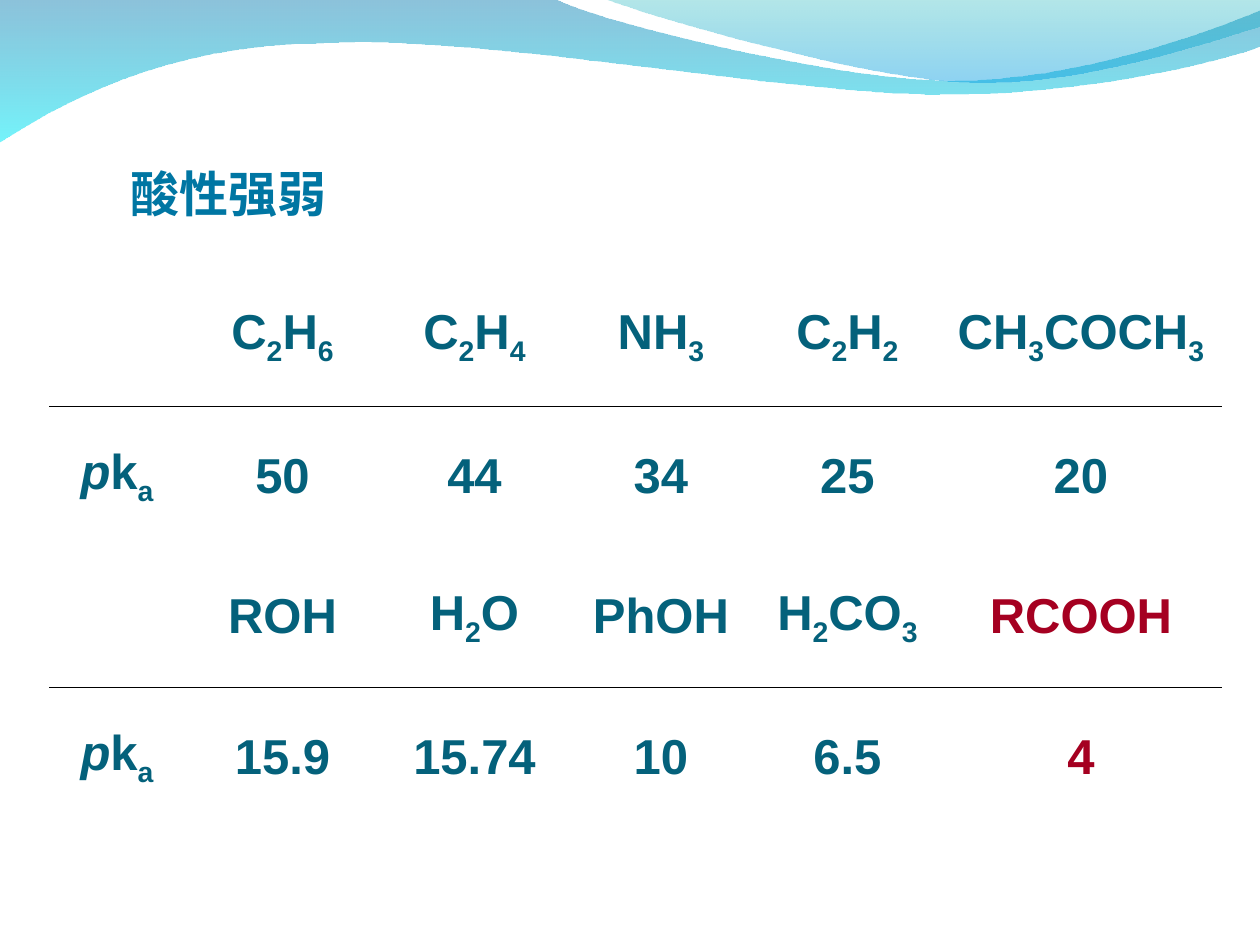
from lxml import etree
from pptx import Presentation
from pptx.dml.color import RGBColor
from pptx.enum.text import MSO_ANCHOR, MSO_AUTO_SIZE, PP_ALIGN
from pptx.oxml.ns import qn
from pptx.util import Pt

PX = 914400 / 126
LEFT, CENTER = PP_ALIGN.LEFT, PP_ALIGN.CENTER
TOP, MIDDLE = MSO_ANCHOR.TOP, MSO_ANCHOR.MIDDLE

TEAL = RGBColor(0x04, 0x61, 0x7B)
RED = RGBColor(0xA5, 0x00, 0x21)
TITLE_BLUE = RGBColor(0x00, 0x76, 0xA3)
DEEP_BLUE = RGBColor(0x00, 0x79, 0xAF)
CYAN = RGBColor(0x00, 0xEB, 0xF8)
SEA_GREEN = RGBColor(0x00, 0xAD, 0xB6)
SKY = RGBColor(0x00, 0x9B, 0xE5)
BLACK = RGBColor(0, 0, 0)

COLUMNS = [134, 197, 187, 186, 187, 280]
ROWS = [140, 141, 140, 141]
# An underscore makes the next character a subscript.
SERIES = [
    (["C_2H_6", "C_2H_4", "NH_3", "C_2H_2", "CH_3COCH_3"],
     ["50", "44", "34", "25", "20"]),
    (["ROH", "H_2O", "PhOH", "H_2CO_3", "RCOOH"],
     ["15.9", "15.74", "10", "6.5", "4"]),
]
ACIDS = ("RCOOH", "4")

# Each wave is a start point, then line ends (x, y) or Bézier segments
# (x1, y1, x2, y2, x, y), relative to the box of the wave.
BACK_WAVE = [
    (1, 0), (555, 0), (601, 23, 838, 81, 956, 81),
    (1076, 81, 1208, 34, 1261, 12), (1262, 47),
    (1240, 57, 1097, 96, 941, 95), (785, 95, 482, 36, 325, 44),
    (164, 45, 59, 106, 0, 143),
]
FRONT_WAVE = [
    (0, 0), (38, 15, 256, 79, 365, 83),
    (475, 88, 607, 42, 656, 28), (656, 1),
]


def px(n):
    return round(n * PX)


def write(p, text, size=28, font="Arial", color=TEAL, align=CENTER,
          before=0, italic_start=0):
    p.alignment = align
    p.space_before = Pt(before)
    first, *rest = text.split("_")
    parts = [(first[:italic_start], True, False), (first[italic_start:], False, False)]
    for part in rest:
        parts += [(part[0], False, True), (part[1:], False, False)]
    for words, italic, subscript in parts:
        if not words:
            continue
        r = p.add_run()
        r.text = words
        r.font.size, r.font.name, r.font.bold = Pt(size), font, True
        r.font.color.rgb = color
        if italic:
            r.font.italic = True
        rPr = r._r.get_or_add_rPr()
        if subscript:
            rPr.set("baseline", "-25000")
        ea = etree.Element(qn("a:ea"), typeface=font)
        rPr.find(qn("a:latin")).addnext(ea)


def bend(sp, segments):
    """Join the three line ends of each Bézier segment into one curve."""
    lines = iter(list(sp._element.spPr.iter(qn("a:lnTo"))))
    for segment in segments[1:]:
        group = [next(lines) for _ in range(len(segment) // 2)]
        if len(group) == 3:
            curve = etree.Element(qn("a:cubicBezTo"))
            group[0].addprevious(curve)
            for line in group:
                curve.append(line[0])
                line.getparent().remove(line)


def add_wave(s, left, top, segments, stops):
    """Draw a wave; stops are (colour, opacity in percent) from top to bottom."""
    points = [(px(left + x), px(top + y)) for segment in segments
              for x, y in zip(segment[::2], segment[1::2])]
    builder = s.shapes.build_freeform(*points[0])
    builder.add_line_segments(points[1:], close=True)
    sp = builder.convert_to_shape()
    bend(sp, segments)
    sp.shadow.inherit = False
    sp.line.fill.background()
    sp.fill.gradient()
    sp.fill.gradient_angle = 270
    for stop, position, (color, _) in zip(sp.fill.gradient_stops, (0, 1), stops):
        stop.color.rgb = color
        stop.position = position
    for node, (_, opacity) in zip(sp._element.spPr.iter(qn("a:srgbClr")), stops):
        etree.SubElement(node, qn("a:alpha"), val=str(opacity * 1000))


def add_title(s, left, top, width, height):
    sp = s.shapes.title
    sp.left, sp.top, sp.width, sp.height = map(px, (left, top, width, height))
    tf = sp.text_frame
    tf.vertical_anchor, tf.auto_size = TOP, MSO_AUTO_SIZE.NONE
    write(tf.paragraphs[0], "酸性强弱", font="Noto Sans CJK SC",
          color=TITLE_BLUE, align=LEFT)


def add_border(cell, side):
    ln = etree.Element(qn(f"a:{side}"), w=str(Pt(0.45)))
    fill = etree.SubElement(ln, qn("a:solidFill"))
    etree.SubElement(fill, qn("a:srgbClr"), val=str(BLACK))
    cell._tc.get_or_add_tcPr().insert(0, ln)


def add_acidity_table(s, left, top):
    rows = []
    for names, values in SERIES:
        rows += [["", *names], ["pk_a", *values]]
    table = s.shapes.add_table(
        len(ROWS), len(COLUMNS), px(left), px(top),
        px(sum(COLUMNS)), px(sum(ROWS))).table
    table.first_row = table.horz_banding = False
    for column, width in zip(table.columns, COLUMNS):
        column.width = px(width)
    for i, texts in enumerate(rows):
        table.rows[i].height = px(ROWS[i])
        for j, text in enumerate(texts):
            cell = table.cell(i, j)
            cell.fill.background()
            cell.vertical_anchor = MIDDLE
            add_border(cell, "lnT" if i % 2 else "lnB")
            if text:
                write(cell.text_frame.paragraphs[0], text, before=7,
                      color=RED if text in ACIDS else TEAL,
                      italic_start=1 if j == 0 else 0)


def main():
    prs = Presentation()
    prs.slide_width, prs.slide_height = px(1260), px(945)
    s = prs.slides.add_slide(prs.slide_layouts[5])
    add_wave(s, -1, -1, BACK_WAVE, [(DEEP_BLUE, 45), (CYAN, 55)])
    add_wave(s, 604, -1, FRONT_WAVE, [(SEA_GREEN, 30), (SKY, 45)])
    add_acidity_table(s, 50, 266)
    add_title(s, 118, 157, 286, 72)
    prs.save("out.pptx")


if __name__ == "__main__":
    main()
